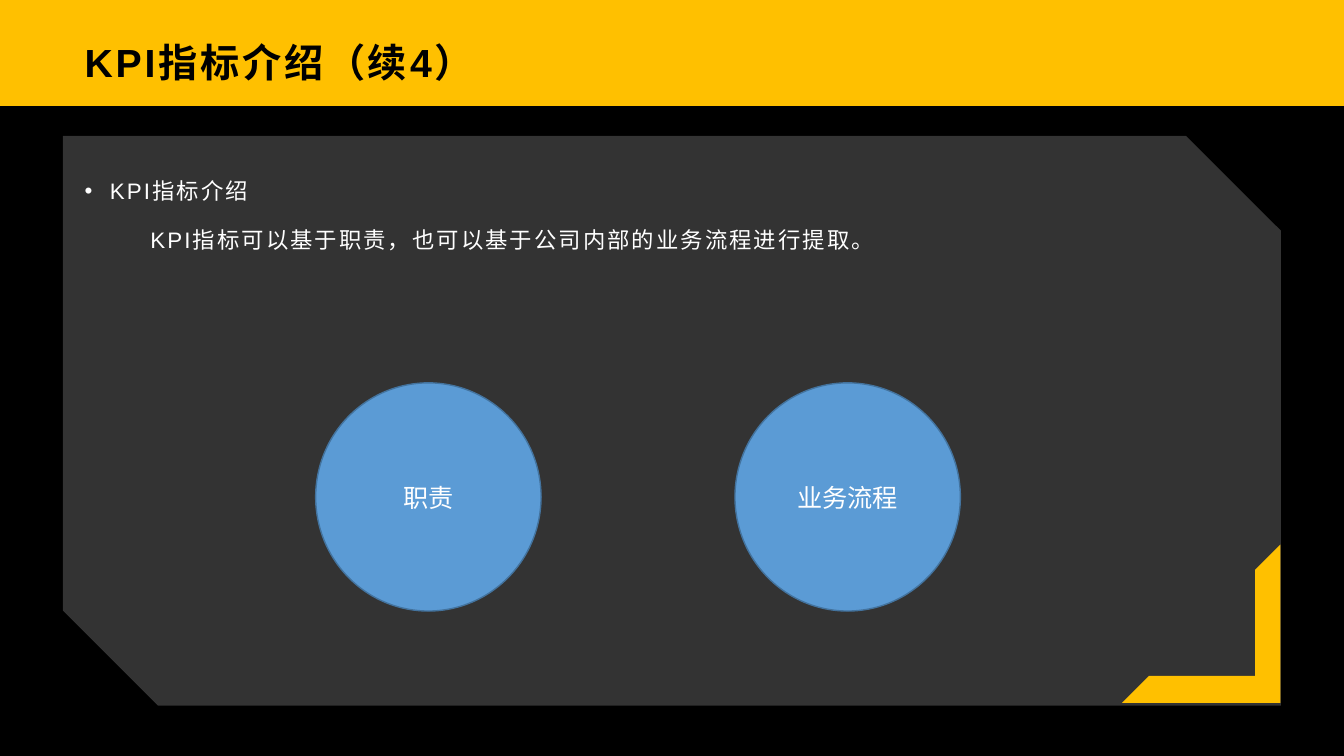
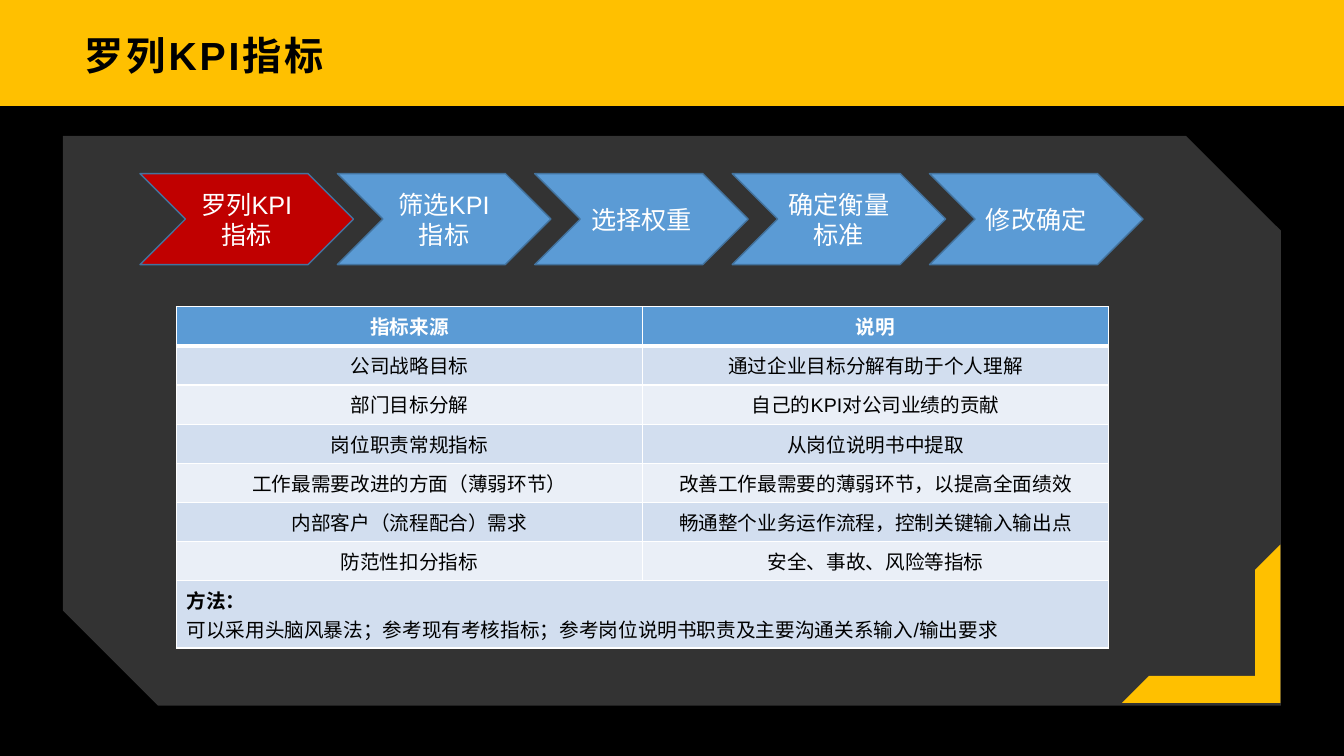
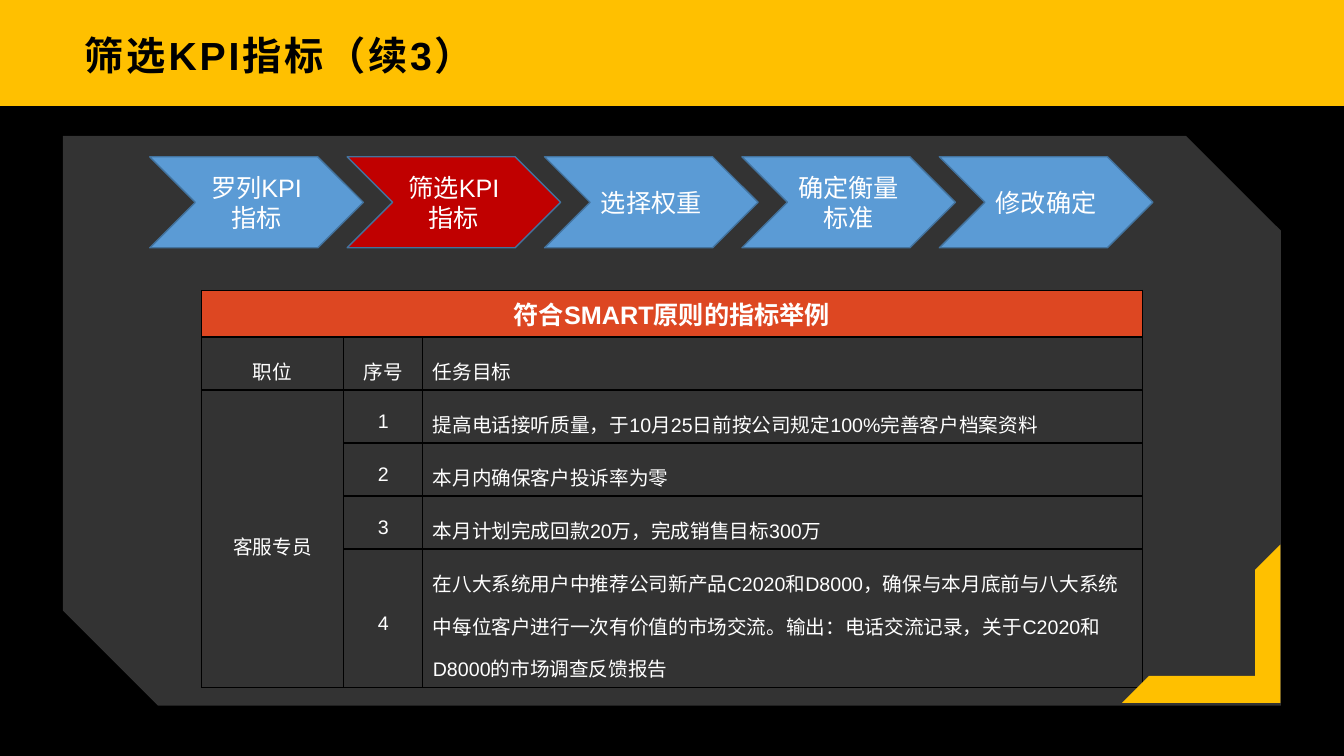
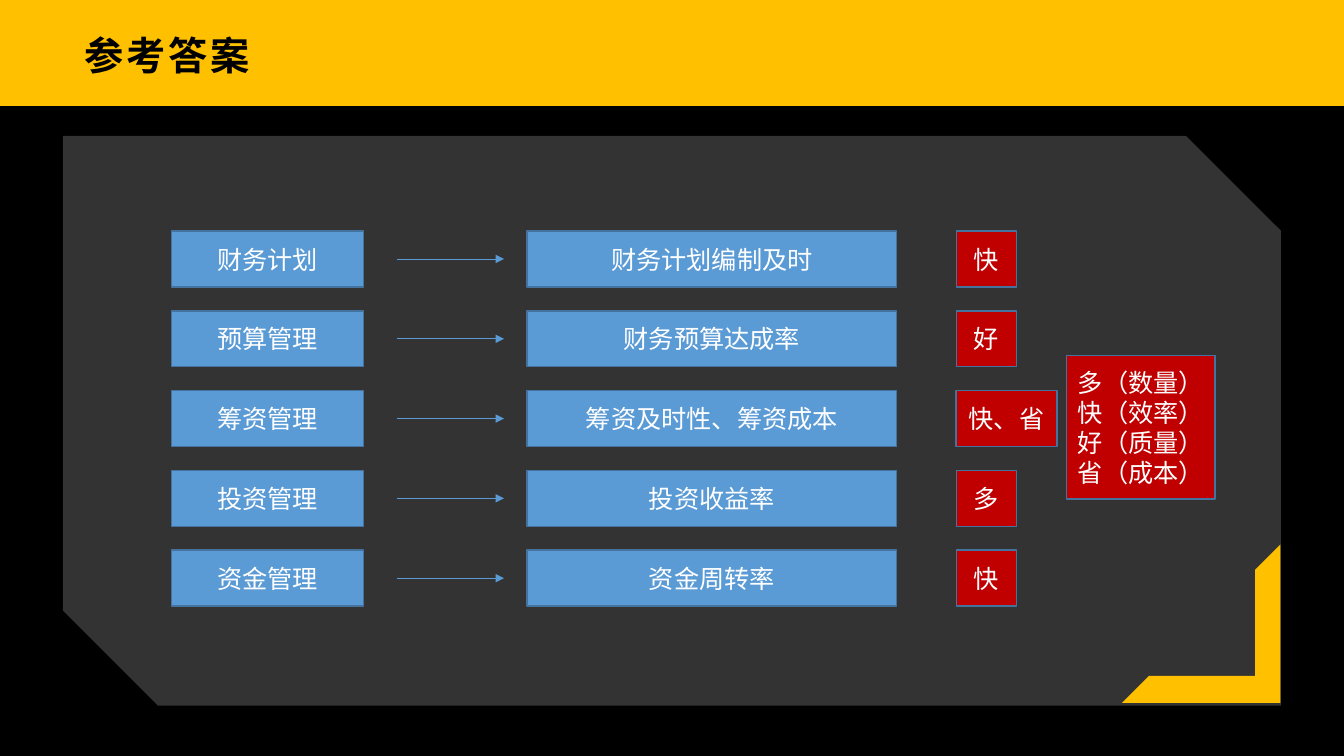
from dataclasses import dataclass

from lxml.etree import SubElement
from pptx import Presentation
from pptx.dml.color import RGBColor
from pptx.enum.shapes import MSO_CONNECTOR, MSO_SHAPE
from pptx.enum.text import MSO_ANCHOR, MSO_AUTO_SIZE, PP_ALIGN
from pptx.oxml.ns import qn
from pptx.util import Pt


@dataclass(frozen=True)
class Theme:
    font: str = "Arial"
    gold: str = "FFC000"
    black: str = "000000"
    white: str = "FFFFFF"
    blue: str = "5B9BD5"
    edge: str = "43739E"
    red: str = "C00000"
    orange: str = "DD4722"
    dark: str = "D2DEEF"
    light: str = "EAEFF7"
    head: int = 28
    label: int = 18
    body: int = 16
    cell: int = 14


T = Theme()
LEFT, MID = PP_ALIGN.LEFT, PP_ALIGN.CENTER
STEPS = ["罗列KPI指标", "筛选KPI指标", "选择权重", "确定衡量标准", "修改确定"]
SOURCES = [
    ("指标来源", "说明"),
    ("公司战略目标", "通过企业目标分解有助于个人理解"),
    ("部门目标分解", "自己的KPI对公司业绩的贡献"),
    ("岗位职责常规指标", "从岗位说明书中提取"),
    ("工作最需要改进的方面（薄弱环节）", "改善工作最需要的薄弱环节，以提高全面绩效"),
    ("内部客户（流程配合）需求", "畅通整个业务运作流程，控制关键输入输出点"),
    ("防范性扣分指标", "安全、事故、风险等指标"),
    ("", ""),
]
GOALS = [
    ("符合SMART原则的指标举例", "", ""),
    ("职位", "序号", "任务目标"),
    ("客服专员", "1", "提高电话接听质量，于10月25日前按公司规定100%完善客户档案资料"),
    ("", "2", "本月内确保客户投诉率为零"),
    ("", "3", "本月计划完成回款20万，完成销售目标300万"),
    ("", "4", "在八大系统用户中推荐公司新产品C2020和D8000，确保与本月底前与八大系统中"
              "每位客户进行一次有价值的市场交流。输出：电话交流记录，关于C2020和D8000的"
              "市场调查反馈报告"),
]
ANSWERS = [
    ("财务计划", "财务计划编制及时", "快"),
    ("预算管理", "财务预算达成率", "好"),
    ("筹资管理", "筹资及时性、筹资成本", "快、省"),
    ("投资管理", "投资收益率", "多"),
    ("资金管理", "资金周转率", "快"),
]


def rgb(code):
    return RGBColor.from_string(code)


def put(frame, text, size=T.label, color=T.white, bold=False, align=MID,
        line=None, after=None, track=0, left=None, hang=0, mark=None, more=False):
    """Write one paragraph per line of text; more keeps what the frame holds."""
    for i, words in enumerate(text.split("\n")):
        para = frame.add_paragraph() if more or i else frame.paragraphs[0]
        para.alignment = align
        para.space_before = Pt(0)
        if line:
            para.line_spacing = line
        if after:
            para.space_after = Pt(after)
        if left is not None:
            props = para._p.get_or_add_pPr()
            props.set("marL", str(Pt(left)))
            props.set("indent", str(Pt(hang)))
            if mark:
                SubElement(props, qn("a:buChar")).set("char", mark)
            else:
                SubElement(props, qn("a:buNone"))
        run = para.add_run()
        run.text = words
        font = run.font
        font.name, font.size, font.bold = T.font, Pt(size), bold
        font.color.rgb = rgb(color)
        if track:
            run._r.get_or_add_rPr().set("spc", str(int(track * 100)))


def rule(cell, color, base=1):
    """Draw the four borders of a cell; base is the width of the lower one."""
    props = cell._tc.get_or_add_tcPr()
    for side in "LRTB":
        line = SubElement(props, qn("a:ln" + side))
        line.set("w", str(Pt(base if side == "B" else 1)))
        fill = SubElement(line, qn("a:solidFill"))
        SubElement(fill, qn("a:srgbClr")).set("val", color)


class Deck:
    def __init__(self):
        self.file = Presentation()
        self.file.slide_width, self.file.slide_height = Pt(960), Pt(540)
        self.slide = None
        fill = self.file.slide_master.background.fill
        fill.gradient()
        fill.gradient_angle = 270
        for stop, color in zip(fill.gradient_stops, (T.gold, T.black)):
            stop.position = 0.14
            stop.color.rgb = rgb(color)

    def start(self, title, top=14, layout=5):
        self.slide = self.file.slides.add_slide(self.file.slide_layouts[layout])
        panel = self.shape(MSO_SHAPE.SNIP_2_DIAG_RECTANGLE, 45, 97, 870, 407,
                           T.white, edge=None)
        tint = panel.fill._xPr.find(".//" + qn("a:srgbClr"))
        SubElement(tint, qn("a:alpha")).set("val", "20000")
        self.slide.shapes._spTree.insert(2, panel._element)
        frame = self.hold(self.slide.shapes.title, top, 51, 3, MSO_ANCHOR.MIDDLE)
        put(frame, title, size=T.head, color=T.black, bold=True, align=LEFT, track=2)

    def hold(self, item, top, high, pad, anchor):
        """Place a placeholder across the slide and return its text frame."""
        item.left, item.top, item.width, item.height = map(Pt, (52.5, top, 855, high))
        frame = item.text_frame
        frame.auto_size, frame.word_wrap = MSO_AUTO_SIZE.NONE, True
        frame.vertical_anchor = anchor
        frame.margin_left, frame.margin_right = Pt(8), Pt(6)
        frame.margin_top = frame.margin_bottom = Pt(pad)
        return frame

    def shape(self, kind, x, y, wide, high, fill, text="", edge=T.edge):
        item = self.slide.shapes.add_shape(kind, *map(Pt, (x, y, wide, high)))
        item.shadow.inherit = False
        item.fill.solid()
        item.fill.fore_color.rgb = rgb(fill)
        if edge:
            item.line.color.rgb, item.line.width = rgb(edge), Pt(1)
        else:
            item.line.fill.background()
        if text:
            item.text_frame.vertical_anchor = MSO_ANCHOR.MIDDLE
            put(item.text_frame, text)
        return item

    def box(self, *args):
        return self.shape(MSO_SHAPE.RECTANGLE, *args)

    def corner(self):
        item = self.shape(MSO_SHAPE.HALF_FRAME, 801.5, 389, 113, 113, T.gold, edge=None)
        item.rotation = 180
        item.adjustments[0], item.adjustments[1] = 0.17, 0.16

    def chain(self, x, y, now):
        """Draw the five steps with the current one in red."""
        for i, step in enumerate(STEPS):
            self.shape(MSO_SHAPE.CHEVRON, x + 141 * i, y, 152.5, 65,
                       T.red if i == now else T.blue, step)

    def arrow(self, x, y, end):
        item = self.slide.shapes.add_connector(
            MSO_CONNECTOR.STRAIGHT, *map(Pt, (x, y, end, y)))
        item.line.color.rgb, item.line.width = rgb(T.blue), Pt(0.5)
        SubElement(item.line._get_or_add_ln(), qn("a:tailEnd")).set("type", "triangle")
        SubElement(item._element.spPr, qn("a:effectLst"))

    def table(self, x, y, cols, rows, data, style):
        """style(row, col) gives fill, border, lower width, anchor and text format."""
        grid = self.slide.shapes.add_table(
            len(rows), len(cols), *map(Pt, (x, y, sum(cols), sum(rows)))).table
        grid.first_row = grid.horz_banding = False
        for part, size in zip(grid.columns, cols):
            part.width = Pt(size)
        for part, size in zip(grid.rows, rows):
            part.height = Pt(size)
        for r, texts in enumerate(data):
            for c, text in enumerate(texts):
                cell = grid.cell(r, c)
                fill, edge, base, anchor, form = style(r, c)
                rule(cell, edge, base)
                if fill:
                    cell.fill.solid()
                    cell.fill.fore_color.rgb = rgb(fill)
                else:
                    cell.fill.background()
                cell.vertical_anchor = anchor
                if text:
                    put(cell.text_frame, text, **form)
        return grid


def band(row, col):
    """Style of the table of sources."""
    head = row == 0
    fill = T.blue if head else T.dark if row % 2 else T.light
    form = dict(size=T.cell, color=T.white if head else T.black, bold=head)
    return fill, T.white, 3 if head else 1, MSO_ANCHOR.TOP, form


def plain(row, col):
    """Style of the table of goals."""
    if row == 0:
        return T.orange, T.black, 1, MSO_ANCHOR.TOP, dict(bold=True)
    form = dict(size=T.cell, line=1.5, align=LEFT if col == 2 else MID)
    return None, T.black, 1, MSO_ANCHOR.MIDDLE, form


def intro(deck):
    deck.start("KPI指标介绍（续4）", top=19, layout=1)
    frame = deck.hold(deck.slide.placeholders[1], 121, 378, 0, MSO_ANCHOR.TOP)
    form = dict(size=T.body, align=LEFT, line=1.3, after=10, track=1.5)
    put(frame, "KPI指标介绍", left=18, hang=-18, mark="•", **form)
    put(frame, "KPI指标可以基于职责，也可以基于公司内部的业务流程进行提取。",
        left=47, more=True, **form)
    for i, text in enumerate(("职责", "业务流程")):
        deck.shape(MSO_SHAPE.OVAL, 225.5 + 299.5 * i, 273.5, 161, 163, T.blue, text)
    deck.corner()


def sources(deck):
    deck.start("罗列KPI指标")
    deck.chain(100, 124, now=0)
    grid = deck.table(126, 219, [333, 333], [28] * 7 + [41], SOURCES, band)
    last = grid.cell(7, 0)
    last.merge(grid.cell(7, 1))
    form = dict(size=T.cell, color=T.black, align=LEFT)
    put(last.text_frame, "方法：", bold=True, **form)
    put(last.text_frame, "可以采用头脑风暴法；参考现有考核指标；"
        "参考岗位说明书职责及主要沟通关系输入/输出要求", more=True, **form)
    deck.corner()


def goals(deck):
    deck.start("筛选KPI指标（续3）")
    deck.chain(107, 112, now=1)
    grid = deck.table(144, 207.5, [101.5, 56.5, 514], [30] * 6, GOALS, plain)
    grid.cell(0, 0).merge(grid.cell(0, 2))
    grid.cell(2, 0).merge(grid.cell(5, 0))
    deck.corner()


def answers(deck):
    deck.start("参考答案")
    high = 40
    for i, (task, goal, mark) in enumerate(ANSWERS):
        y = 165 + 57 * i
        deck.box(122.5, y, 137, high, T.blue, task)
        deck.arrow(283.5, y + high / 2, 360)
        deck.box(376.5, y, 264, high, T.blue, goal)
        deck.box(683, y, 72 if len(mark) > 1 else 43, high, T.red, mark)
    deck.box(762, 254, 106, 102.5, T.red, "多（数量）\n快（效率）\n好（质量）\n省（成本）")
    deck.corner()


def main():
    deck = Deck()
    for page in (intro, sources, goals, answers):
        page(deck)
    deck.file.save("out.pptx")


if __name__ == "__main__":
    main()
